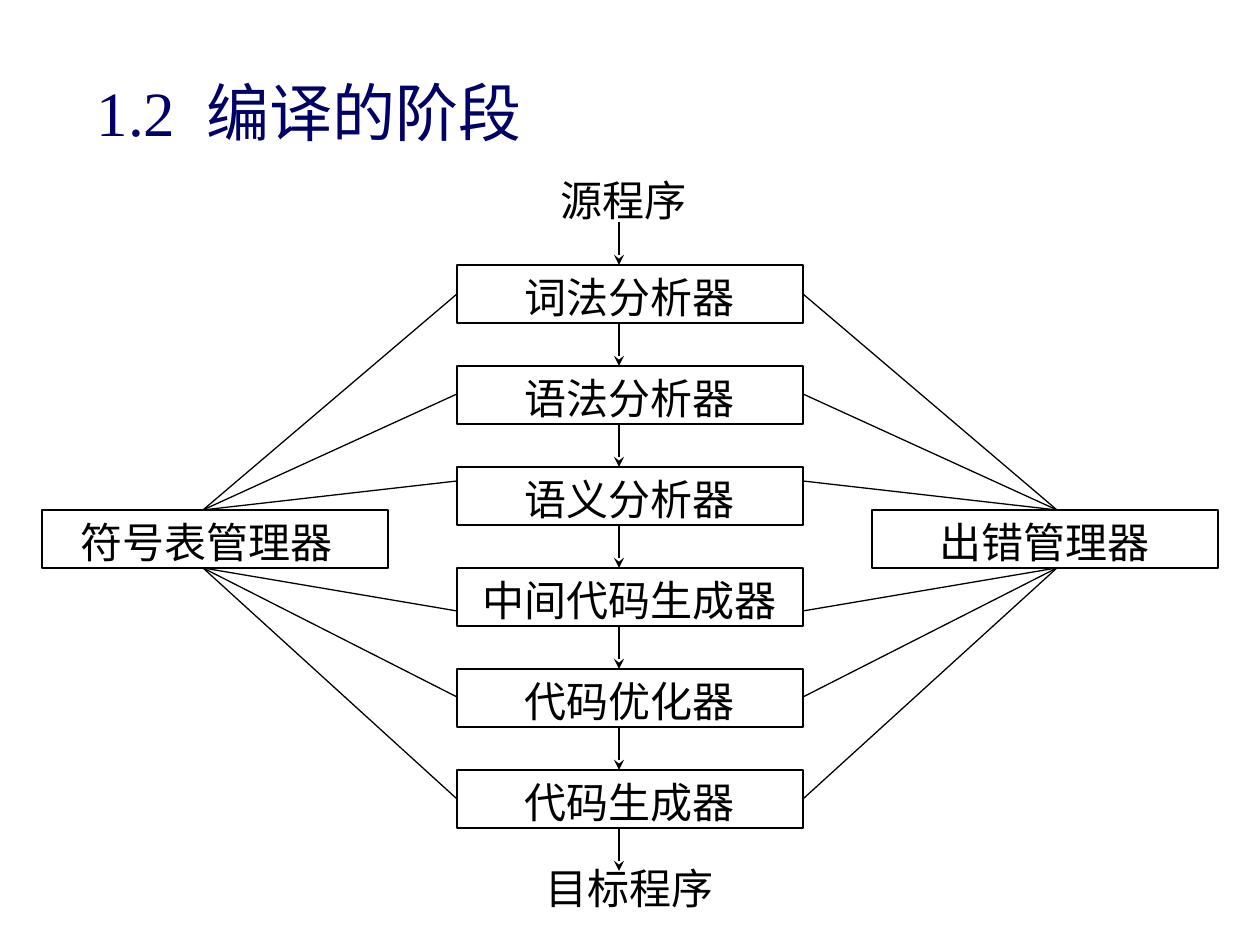
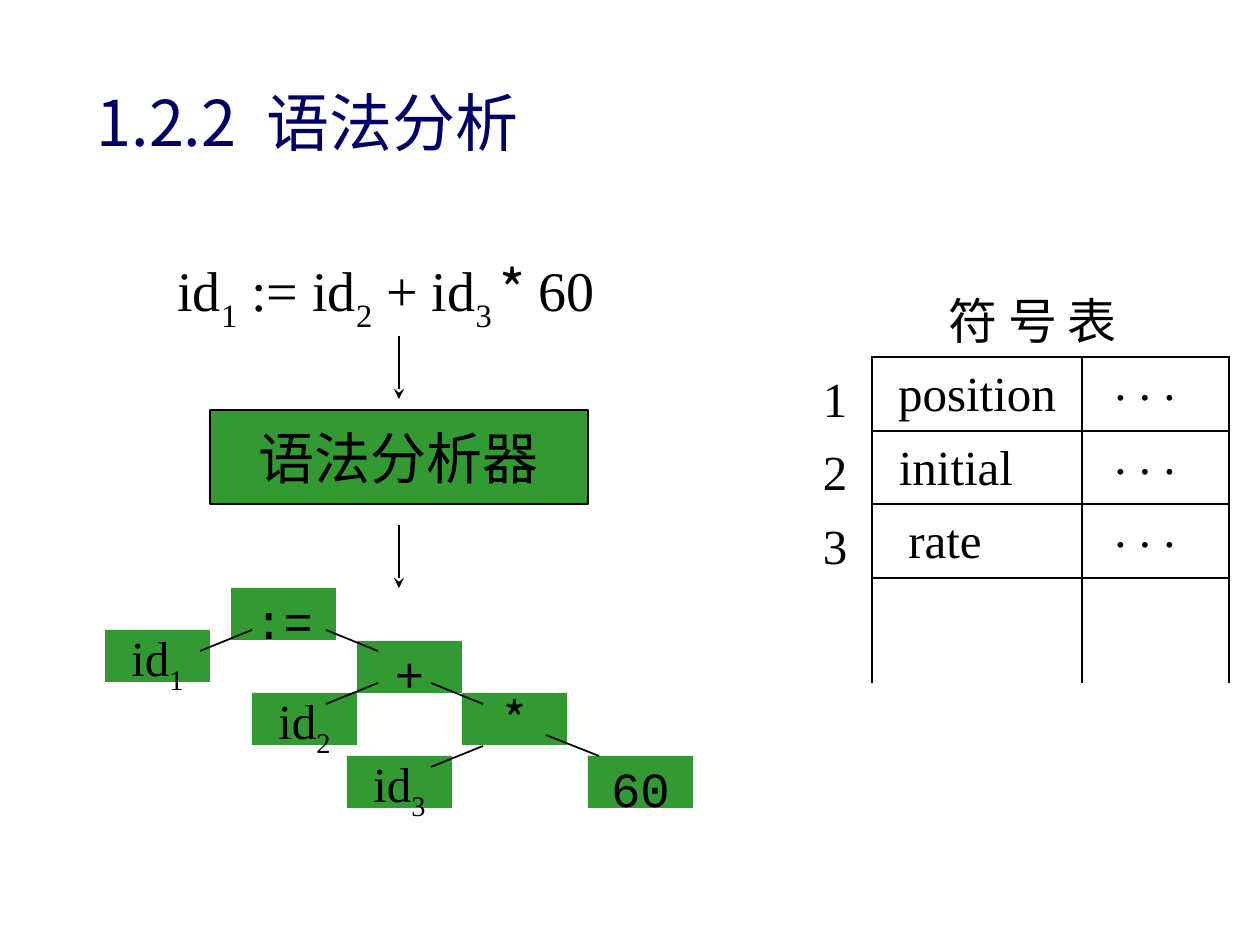
from lxml.etree import SubElement
from pptx import Presentation
from pptx.dml.color import RGBColor
from pptx.enum.shapes import MSO_CONNECTOR, MSO_SHAPE
from pptx.enum.text import MSO_ANCHOR, MSO_AUTO_SIZE, PP_ALIGN
from pptx.oxml import parse_xml
from pptx.oxml.ns import nsdecls, qn
from pptx.util import Pt

PX = 7257  # EMU per px, 126 px to the inch
SERIF, SANS, MONO = "Times New Roman", "Noto Sans CJK SC", "Courier New"
BLACK, WHITE, NAVY, GREEN = "000000", "FFFFFF", "000066", "339933"
SUB = {"baseline": "-30000"}
TITLE_GAP = {"spc": "900"}


def write(tf, runs, size, font=SERIF, color=BLACK, align=PP_ALIGN.CENTER):
    """Fill the first paragraph; a run is (text, attributes) or (text, attributes, font)."""
    p = tf.paragraphs[0]
    p.alignment = align
    for text, attributes, *own_font in runs:
        r = p.add_run()
        r.text = text
        r.font.size = Pt(size)
        r.font.name = own_font[0] if own_font else font
        r.font.color.rgb = RGBColor.from_string(color)
        rpr = r.font._element
        SubElement(rpr, qn("a:ea")).set("typeface", SANS)
        for key, value in attributes.items():
            rpr.set(key, value)


def line(s, x1, y1, x2, y2, width, arrow=False):
    c = s.shapes.add_connector(MSO_CONNECTOR.STRAIGHT, x1 * PX, y1 * PX, x2 * PX, y2 * PX)
    c.line.color.rgb = RGBColor.from_string(BLACK)
    c.line.width = Pt(width)
    if arrow:
        SubElement(c.line._get_or_add_ln(), qn("a:tailEnd")).set("type", "stealth")
    SubElement(c._element.spPr, qn("a:effectLst"))


prs = Presentation()
prs.slide_width, prs.slide_height = 1260 * PX, 945 * PX

slides = []
for number, heading, font, top in [("1.2", "编译的阶段", SERIF, 32), ("1.2.2", "语法分析", SANS, 42)]:
    s = prs.slides.add_slide(prs.slide_layouts[5])
    title = s.shapes.title
    title.left, title.top, title.width, title.height = 84 * PX, top * PX, 1071 * PX, 158 * PX
    tf = title.text_frame
    tf.auto_size = MSO_AUTO_SIZE.NONE
    tf.vertical_anchor = MSO_ANCHOR.MIDDLE
    write(tf, [(number, {}), (" ", TITLE_GAP), (heading, {})], 36, font, NAVY, PP_ALIGN.LEFT)
    slides.append(s)
phases, parsing = slides

# Phases of compilation: (text, x, y, width, outlined, right inset)
STEP = 101
stages = ["词法分析器", "语法分析器", "语义分析器", "中间代码生成器", "代码优化器", "代码生成器"]
boxes = [(name, 457, 265 + STEP * i, 346, True, 13) for i, name in enumerate(stages)]
boxes += [
    ("源程序", 451, 168, 346, False, 13),
    ("目标程序", 480, 856, 300, False, 13),
    ("出错管理器", 872, 510, 346, True, 13),
    ("符号表管理器", 42, 510, 346, True, 29),
]
for name, x, y, w, outlined, inset in boxes:
    sp = phases.shapes.add_shape(MSO_SHAPE.RECTANGLE, x * PX, y * PX, w * PX, 58 * PX)
    sp.shadow.inherit = False
    sp.fill.solid()
    sp.fill.fore_color.rgb = RGBColor.from_string(WHITE)
    if outlined:
        sp.line.color.rgb = RGBColor.from_string(BLACK)
        sp.line.width = Pt(0.75)
    else:
        sp.line.fill.background()
    tf = sp.text_frame
    tf.vertical_anchor = MSO_ANCHOR.TOP
    tf.margin_right = inset * PX
    write(tf, [(name, {})], 24)

for i in range(len(stages) + 1):
    line(phases, 619, 222 + STEP * i, 619, 265 + STEP * i, 0.75, arrow=True)
for stage_x, manager_x in [(457, 203), (803, 1057)]:
    for manager_y, stage_ys in [(510, (294, 394, 481)), (568, (611, 697, 799))]:
        for stage_y in stage_ys:
            line(phases, stage_x, stage_y, manager_x, manager_y, 0.75)

# Parsing: the statement, the table caption and the row numbers
statement = [
    ("id", {}), ("1", SUB), (" := id", {}), ("2", SUB), (" + id", {}), ("3 ", SUB),
    ("* ", {}, SANS), ("60", {}),
]
labels = [(statement, 24, 249, 724, 95, 32, SERIF), ([("符 号 表", {})], 896, 284, 273, 84, 28, SANS)]
labels += [([(str(i + 1), {})], 788, 362 + 147 * i // 2, 94, 63, 28, SERIF) for i in range(3)]
for runs, x, y, w, h, size, font in labels:
    tf = parsing.shapes.add_textbox(x * PX, y * PX, w * PX, h * PX).text_frame
    tf.word_wrap = True
    write(tf, runs, size, font)

# Symbol table, open at the bottom
frame = parsing.shapes.add_table(4, 2, 872 * PX, 357 * PX, 357 * PX, 326 * PX)
table = frame.table
table.first_row = table.horz_banding = False
for column, width in zip(table.columns, (210, 147)):
    column.width = width * PX
for row, height in zip(table.rows, (74, 73, 74, 105)):
    row.height = height * PX
symbols = [("position", 0), ("initial", 42), ("rate", 64)]
for i, (name, inset) in enumerate(symbols):
    for j, (text, right, top) in enumerate([(name, inset, 11), (". . .", 21, 0)]):
        cell = table.cell(i, j)
        cell.margin_left = cell.margin_bottom = 0
        cell.margin_right, cell.margin_top = right * PX, top * PX
        write(cell.text_frame, [(text, {})], 28)
for k, cell in enumerate(table.iter_cells()):
    cell.fill.background()
    for i, side in enumerate(("lnL", "lnR", "lnT", "lnB")):
        is_open = side == "lnB" and k >= 6
        paint = "<a:noFill/>" if is_open else f'<a:solidFill><a:srgbClr val="{BLACK}"/></a:solidFill>'
        border = parse_xml(f'<a:{side} {nsdecls("a")} w="12700">{paint}</a:{side}>')
        cell._tc.get_or_add_tcPr().insert(i, border)

# Parser and syntax tree: (runs, x, y, width, height, size, font, top inset)
nodes = [([("语法分析器", {})], 210, 410, 378, 94, 32, SANS, 6)]
for text, x, y, font, inset in [
    (":=", 231, 588, MONO, 18), ("+", 357, 641, MONO, 18),
    ("*", 462, 693, SANS, 6), ("60", 588, 756, MONO, 18),
]:
    nodes.append(([(text, {})], x, y, 105, 52, 28, font, inset))
for index, x, y in [("1", 105, 630), ("2", 252, 693), ("3", 347, 756)]:
    nodes.append(([("id", {}), (index, SUB)], x, y, 105, 52, 28, SERIF, 18))
for runs, x, y, w, h, size, font, inset in nodes:
    sp = parsing.shapes.add_shape(MSO_SHAPE.RECTANGLE, x * PX, y * PX, w * PX, h * PX)
    sp.shadow.inherit = False
    sp.fill.solid()
    sp.fill.fore_color.rgb = RGBColor.from_string(GREEN)
    if w > 105:
        sp.line.color.rgb = RGBColor.from_string(BLACK)
        sp.line.width = Pt(1)
    else:
        sp.line.fill.background()
    tf = sp.text_frame
    tf.word_wrap = False
    tf.vertical_anchor = MSO_ANCHOR.MIDDLE
    tf.margin_top = inset * PX
    write(tf, runs, size, font)

for y in (336, 525):
    line(parsing, 399, y, 399, y + 63, 1, arrow=True)
for x1, y1, x2, y2 in [
    (252, 630, 200, 651), (326, 630, 378, 651), (431, 683, 483, 704),
    (546, 735, 599, 756), (483, 746, 431, 767), (378, 683, 326, 704),
]:
    line(parsing, x1, y1, x2, y2, 1)

prs.save("out.pptx")
